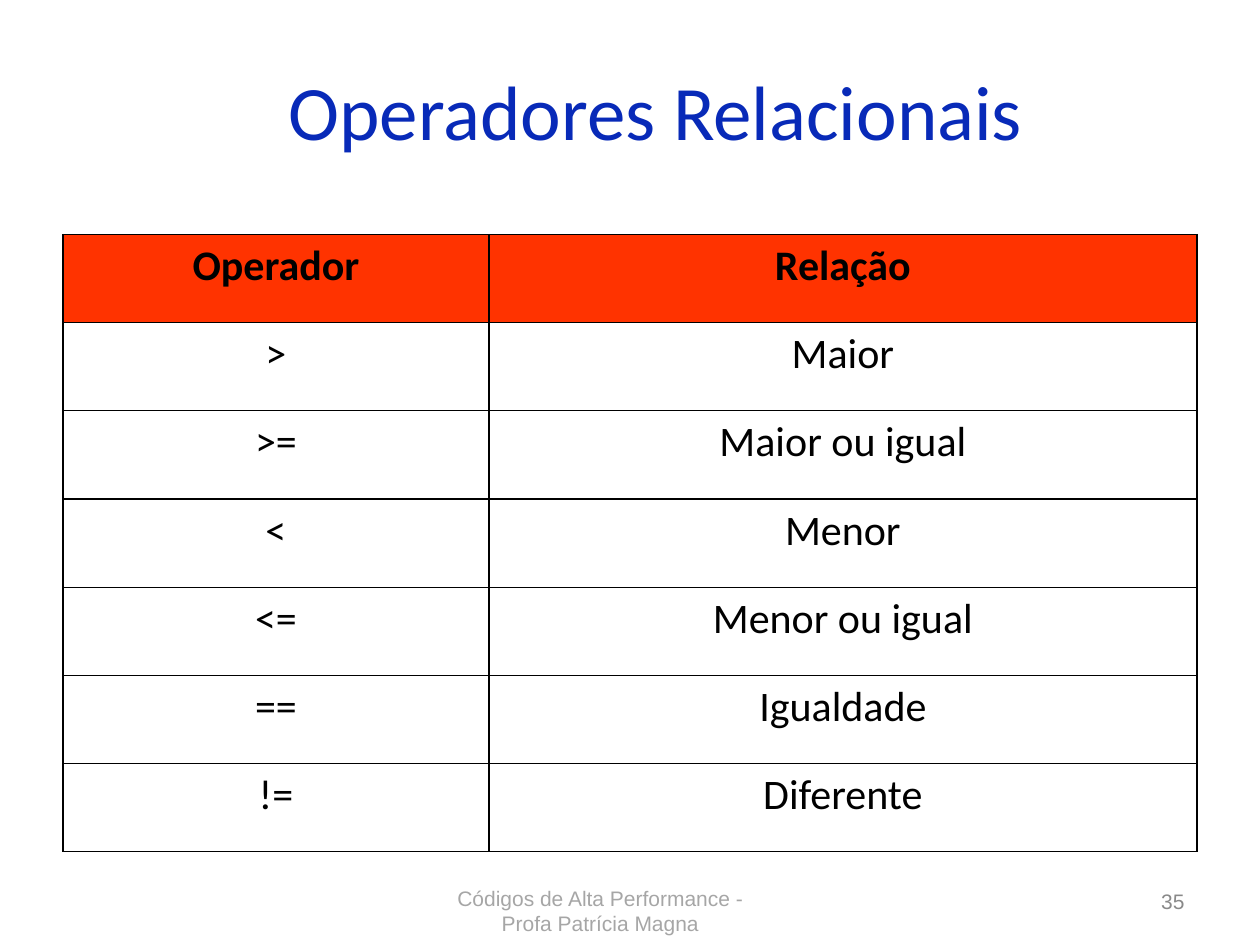
import dataclasses

import lxml.etree
import pptx
import pptx.dml.color
import pptx.enum.text
import pptx.oxml.ns
import pptx.util

Inches = pptx.util.Inches
Pt = pptx.util.Pt
Align = pptx.enum.text.PP_ALIGN
Anchor = pptx.enum.text.MSO_ANCHOR

BLACK, WHITE, HEADER_RED = "000000", "FFFFFF", "FF3300"
BORDER_WIDTHS = {"lnL": 1, "lnR": 1, "lnT": 0.75, "lnB": 0.75}
COLUMN_WIDTHS = (3.38, 5.62)
ROW_HEIGHT = 0.7
OPERATORS = (
    ("Operador", "Relação"),
    (">", "Maior"),
    (">=", "Maior ou igual"),
    ("<", "Menor"),
    ("<=", "Menor ou igual"),
    ("==", "Igualdade"),
    ("!=", "Diferente"),
)


@dataclasses.dataclass(frozen=True)
class Label:
    text: str
    left: float
    top: float
    width: float
    height: float
    size: float
    font: str
    color: str
    alignment: Align = Align.CENTER


LABELS = (
    Label("Códigos de Alta Performance - Profa Patrícia Magna",
          3.36, 6.95, 2.81, 0.55, 12, "Arial", "A6A6A6"),
    Label("35", 7.17, 6.95, 2.33, 0.4, 12, "Arial", "898989", Align.RIGHT),
    Label("Operadores Relacionais", 0.98, 0.28, 8.45, 1.18, 44, "Calibri", "082AB8"),
)


def rgb(color: str) -> pptx.dml.color.RGBColor:
    return pptx.dml.color.RGBColor.from_string(color)


def write_text(text_frame, text: str, size: float, font: str, color: str,
               alignment: Align = Align.CENTER, bold: bool = False) -> None:
    text_frame.text = text
    paragraph = text_frame.paragraphs[0]
    paragraph.alignment = alignment
    run_font = paragraph.runs[0].font
    run_font.size = Pt(size)
    run_font.name = font
    run_font.bold = bold
    run_font.color.rgb = rgb(color)


def add_label(slide, label: Label) -> None:
    shape = slide.shapes.add_textbox(
        Inches(label.left), Inches(label.top), Inches(label.width), Inches(label.height))
    shape.text_frame.word_wrap = True
    shape.text_frame.vertical_anchor = Anchor.MIDDLE
    write_text(shape.text_frame, label.text, label.size, label.font, label.color,
               label.alignment)


def add_borders(cell) -> None:
    properties = cell._tc.get_or_add_tcPr()
    for side, width in BORDER_WIDTHS.items():
        line = lxml.etree.SubElement(
            properties, pptx.oxml.ns.qn(f"a:{side}"), w=str(Pt(width)))
        fill = lxml.etree.SubElement(line, pptx.oxml.ns.qn("a:solidFill"))
        lxml.etree.SubElement(fill, pptx.oxml.ns.qn("a:srgbClr"), val=BLACK)


def add_operator_table(slide) -> None:
    table = slide.shapes.add_table(
        len(OPERATORS), len(COLUMN_WIDTHS), Inches(0.5), Inches(1.86),
        Inches(sum(COLUMN_WIDTHS)), Inches(ROW_HEIGHT * len(OPERATORS))).table
    for column, width in zip(table.columns, COLUMN_WIDTHS):
        column.width = Inches(width)
    for row_index, texts in enumerate(OPERATORS):
        is_header = row_index == 0
        table.rows[row_index].height = Inches(ROW_HEIGHT)
        for column_index, text in enumerate(texts):
            cell = table.cell(row_index, column_index)
            add_borders(cell)
            cell.fill.solid()
            cell.fill.fore_color.rgb = rgb(HEADER_RED if is_header else WHITE)
            write_text(cell.text_frame, text, 24, "Calibri", BLACK, bold=is_header)


def main() -> None:
    presentation = pptx.Presentation()
    presentation.slide_width = Inches(10)
    presentation.slide_height = Inches(7.5)
    slide = presentation.slides.add_slide(presentation.slide_layouts[6])
    for label in LABELS:
        add_label(slide, label)
    add_operator_table(slide)
    presentation.save("out.pptx")


if __name__ == "__main__":
    main()
